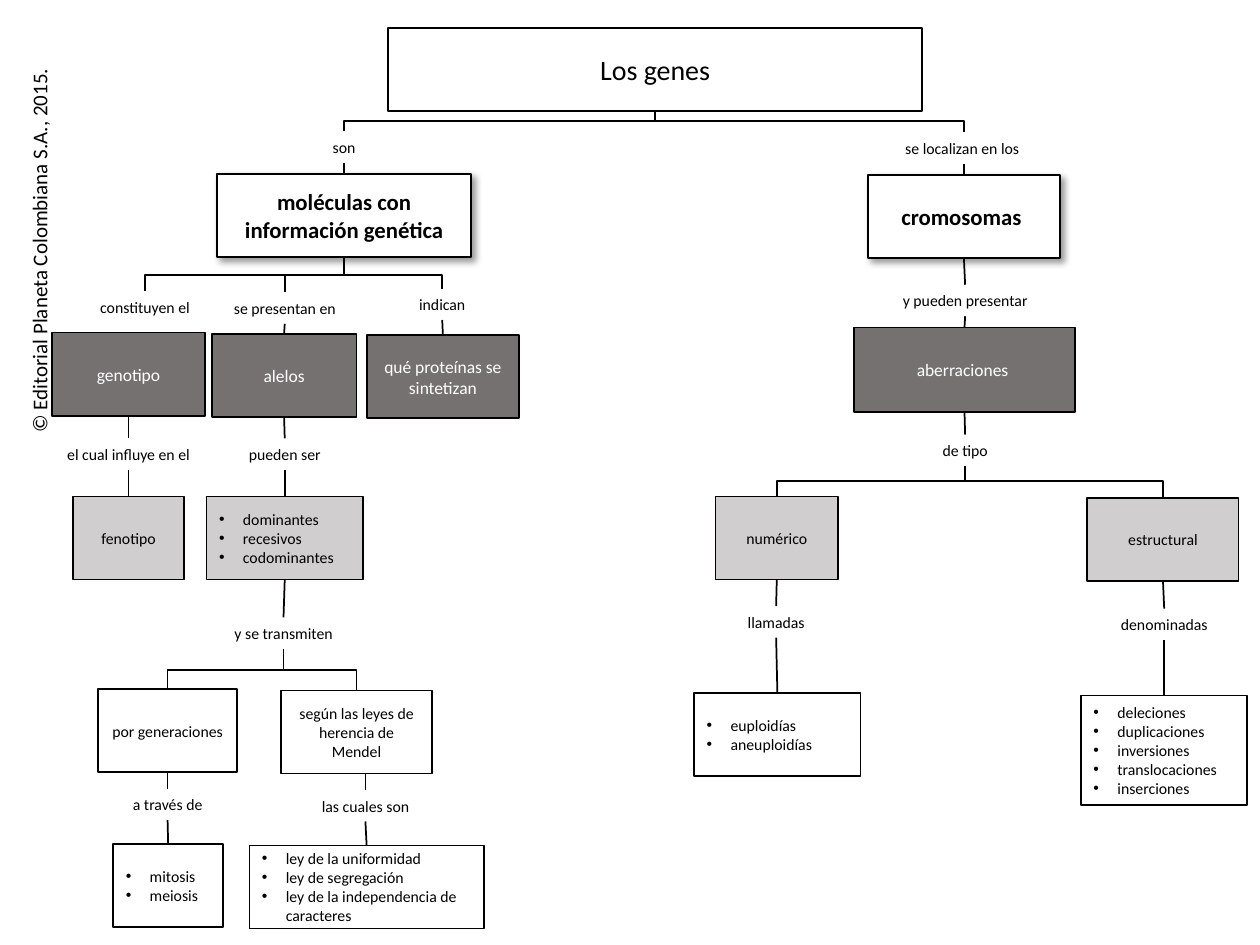
from lxml import etree
from pptx import Presentation
from pptx.dml.color import RGBColor
from pptx.enum import shapes, text
from pptx.oxml.ns import qn
from pptx.util import Inches, Pt

FONT = "Calibri"
COPYRIGHT = "© Editorial Planeta Colombiana S.A., 2015."

# Levels of the concept map: fill, text colour, size, bold, shadow
LEVELS = {
    "title": ("FFFFFF", "000000", 16, False, False),
    "main": ("FFFFFF", "000000", 13, True, True),
    "dark": ("767171", "FFFFFF", 10, False, False),
    "light": ("D0CECE", "000000", 9, False, False),
    "plain": ("FFFFFF", "000000", 9, False, False),
}

# Concepts: key, level, left, top, width, height, text (a list is bulleted)
CONCEPTS = [
    ("genes", "title", 3.08, 0.22, 4.24, 0.66, "Los genes"),
    ("moléculas", "main", 1.72, 1.38, 2.02, 0.66, "moléculas con información genética"),
    ("cromosomas", "main", 6.89, 1.39, 1.52, 0.66, "cromosomas "),
    ("genotipo", "dark", 0.41, 2.64, 1.22, 0.66, "genotipo"),
    ("alelos", "dark", 1.68, 2.65, 1.15, 0.66, "alelos"),
    ("proteínas", "dark", 2.91, 2.66, 1.21, 0.66, "qué proteínas se sintetizan"),
    ("aberraciones", "dark", 6.78, 2.6, 1.75, 0.67, "aberraciones "),
    ("fenotipo", "light", 0.58, 3.94, 0.88, 0.66, "fenotipo"),
    ("clases", "light", 1.64, 3.94, 1.24, 0.66, ["dominantes", "recesivos", "codominantes"]),
    ("numérico", "light", 5.68, 3.94, 0.97, 0.66, "numérico"),
    ("estructural", "light", 8.63, 3.95, 1.2, 0.66, "estructural"),
    ("generaciones", "plain", 0.78, 5.47, 1.1, 0.66, "por generaciones"),
    ("leyes", "plain", 2.23, 5.48, 1.2, 0.66, "según las leyes de herencia de Mendel"),
    ("división", "plain", 0.9, 6.7, 0.87, 0.66, ["mitosis", "meiosis"]),
    ("herencia", "plain", 1.98, 6.71, 1.86, 0.66,
     ["ley de la uniformidad", "ley de segregación", "ley de la independencia de caracteres"]),
    ("ploidías", "plain", 5.51, 5.5, 1.32, 0.66, ["euploidías", "aneuploidías"]),
    ("cambios", "plain", 8.58, 5.52, 1.32, 0.87,
     ["deleciones", "duplicaciones", "inversiones", "translocaciones", "inserciones"]),
]

# Linking words: left, top, width, text
LINK_HEIGHT = 0.25
LINKING_WORDS = [
    (1.97, 1.04, 1.52, "son"),
    (6.89, 1.05, 1.52, "se localizan en los "),
    (0.39, 2.31, 1.52, "constituyen el"),
    (1.58, 2.32, 1.36, "se presentan en"),
    (2.83, 2.29, 1.36, "indican"),
    (6.98, 2.26, 1.36, "y pueden presentar"),
    (0.34, 3.48, 1.36, "el cual influye en el"),
    (1.58, 3.48, 1.36, "pueden ser"),
    (6.9, 3.45, 1.52, "de tipo"),
    (1.49, 4.9, 1.52, "y se transmiten"),
    (5.4, 4.81, 1.52, "llamadas"),
    (8.48, 4.83, 1.52, "denominadas"),
    (0.57, 6.26, 1.52, "a través de"),
    (2.14, 6.27, 1.52, "las cuales son"),
]

# Straight chains, read from top to bottom
CHAINS = [
    ("son", "moléculas"),
    ("se localizan en los ", "cromosomas", "y pueden presentar", "aberraciones", "de tipo"),
    ("genotipo", "el cual influye en el", "fenotipo"),
    ("se presentan en", "alelos", "pueden ser", "clases", "y se transmiten"),
    ("indican", "proteínas"),
    ("generaciones", "a través de", "división"),
    ("leyes", "las cuales son", "herencia"),
    ("numérico", "llamadas", "ploidías"),
    ("estructural", "denominadas", "cambios"),
]

# Branches: parent, height of the crossbar, children
BRANCHES = [
    ("genes", 0.96, ["son", "se localizan en los "]),
    ("moléculas", 2.18, ["constituyen el", "indican"]),
    ("de tipo", 3.82, ["numérico", "estructural"]),
    ("y se transmiten", 5.32, ["generaciones", "leyes"]),
]

prs = Presentation()
prs.slide_width, prs.slide_height = Inches(10), Inches(7.5)
slide = prs.slides.add_slide(prs.slide_layouts[6])
nodes = {}  # key -> (shape, centre x, top, bottom)


def color(hex_value):
    return RGBColor.from_string(hex_value)


def write(paragraph, words, size, hex_value="000000", bold=False):
    run = paragraph.add_run()
    run.text = words
    run.font.name, run.font.size, run.font.bold = FONT, Pt(size), bold
    run.font.color.rgb = color(hex_value)


def add_bullet(paragraph):
    props = paragraph._p.get_or_add_pPr()
    props.set("marL", str(Inches(0.19)))
    props.set("indent", str(-Inches(0.19)))
    etree.SubElement(props, qn("a:buFont"), typeface="Arial")
    etree.SubElement(props, qn("a:buChar"), char="•")


def add_shadow(shape):
    effects = shape._element.spPr.find(qn("a:effectLst"))
    outer = etree.SubElement(effects, qn("a:outerShdw"), blurRad=str(Pt(4)), dist=str(Pt(3)),
                             dir="2700000", algn="tl", rotWithShape="0")
    black = etree.SubElement(outer, qn("a:srgbClr"), val="000000")
    etree.SubElement(black, qn("a:alpha"), val="40000")


def add_concept(key, level, left, top, width, height, content):
    fill, ink, size, bold, shadow = LEVELS[level]
    box = slide.shapes.add_shape(shapes.MSO_SHAPE.RECTANGLE, *map(Inches, (left, top, width, height)))
    box.shadow.inherit = False
    box.fill.solid()
    box.fill.fore_color.rgb = color(fill)
    box.line.color.rgb = color("000000")
    box.line.width = Pt(1)
    if shadow:
        add_shadow(box)
    frame = box.text_frame
    frame.word_wrap = True
    frame.vertical_anchor = text.MSO_ANCHOR.MIDDLE
    bulleted = isinstance(content, list)
    for i, words in enumerate(content if bulleted else [content]):
        paragraph = frame.add_paragraph() if i else frame.paragraphs[0]
        paragraph.alignment = text.PP_ALIGN.LEFT if bulleted else text.PP_ALIGN.CENTER
        if bulleted:
            add_bullet(paragraph)
        write(paragraph, words, size, ink, bold)
    nodes[key] = (box, left + width / 2, top, top + height)


def add_linking_word(left, top, width, words):
    label = slide.shapes.add_textbox(*map(Inches, (left, top, width, LINK_HEIGHT)))
    label.text_frame.word_wrap = True
    paragraph = label.text_frame.paragraphs[0]
    paragraph.alignment = text.PP_ALIGN.CENTER
    write(paragraph, words, 9)
    nodes[words] = (label, left + width / 2, top, top + LINK_HEIGHT)


def add_line(kind, *ends):
    line = slide.shapes.add_connector(kind, *map(Inches, ends))
    line.line.color.rgb = color("000000")
    line.line.width = Pt(1)
    etree.SubElement(line._element.spPr, qn("a:effectLst"))
    return line


def join(upper, lower):
    upper_shape, x1, _, y1 = nodes[upper]
    lower_shape, x2, y2, _ = nodes[lower]
    aligned = abs(x1 - x2) < 0.05
    line = add_line(shapes.MSO_CONNECTOR.STRAIGHT, x1 if aligned else x2, y1, x2, y2)
    if aligned:
        line.begin_connect(upper_shape, 2)
    line.end_connect(lower_shape, 0)


def branch(parent, bar, child):
    """Elbow that runs down, across at the crossbar, and down again."""
    _, x1, _, y1 = nodes[parent]
    _, x2, y2, _ = nodes[child]
    mid_x, mid_y = (x1 + x2) / 2, (y1 + y2) / 2
    half_w, half_h = abs(x2 - x1) / 2, (y2 - y1) / 2
    side = 1 if x2 < x1 else -1  # a child on the right needs the mirrored elbow
    elbow = add_line(shapes.MSO_CONNECTOR.ELBOW, mid_x - side * half_h, mid_y - half_w,
                     mid_x + side * half_h, mid_y + half_w)
    props = elbow._element.spPr
    props.find(qn("a:xfrm")).set("rot", str((90 if side > 0 else 270) * 60000))
    guides = props.find(qn("a:prstGeom")).find(qn("a:avLst"))
    share = round((bar - y1) / (y2 - y1) * 100000)
    etree.SubElement(guides, qn("a:gd"), name="adj1", fmla=f"val {share}")


# Copyright line along the left edge
credit = slide.shapes.add_textbox(*map(Inches, (-1.25, 1.82, 3.12, 0.3)))
credit.rotation = 270
credit.text_frame.word_wrap = False
write(credit.text_frame.paragraphs[0], COPYRIGHT, 12)

# Concepts and linking words
for concept in CONCEPTS:
    add_concept(*concept)
for linking_word in LINKING_WORDS:
    add_linking_word(*linking_word)

# Lines
for chain in CHAINS:
    for upper, lower in zip(chain, chain[1:]):
        join(upper, lower)
for parent, bar, children in BRANCHES:
    for child in children:
        branch(parent, bar, child)

# Middle drop and its label under the molecules crossbar
drop_label, drop_x, drop_top, _ = nodes["se presentan en"]
drop = add_line(shapes.MSO_CONNECTOR.STRAIGHT, drop_x, 2.18, drop_x, drop_top)
drop.end_connect(drop_label, 0)

prs.save("out.pptx")
